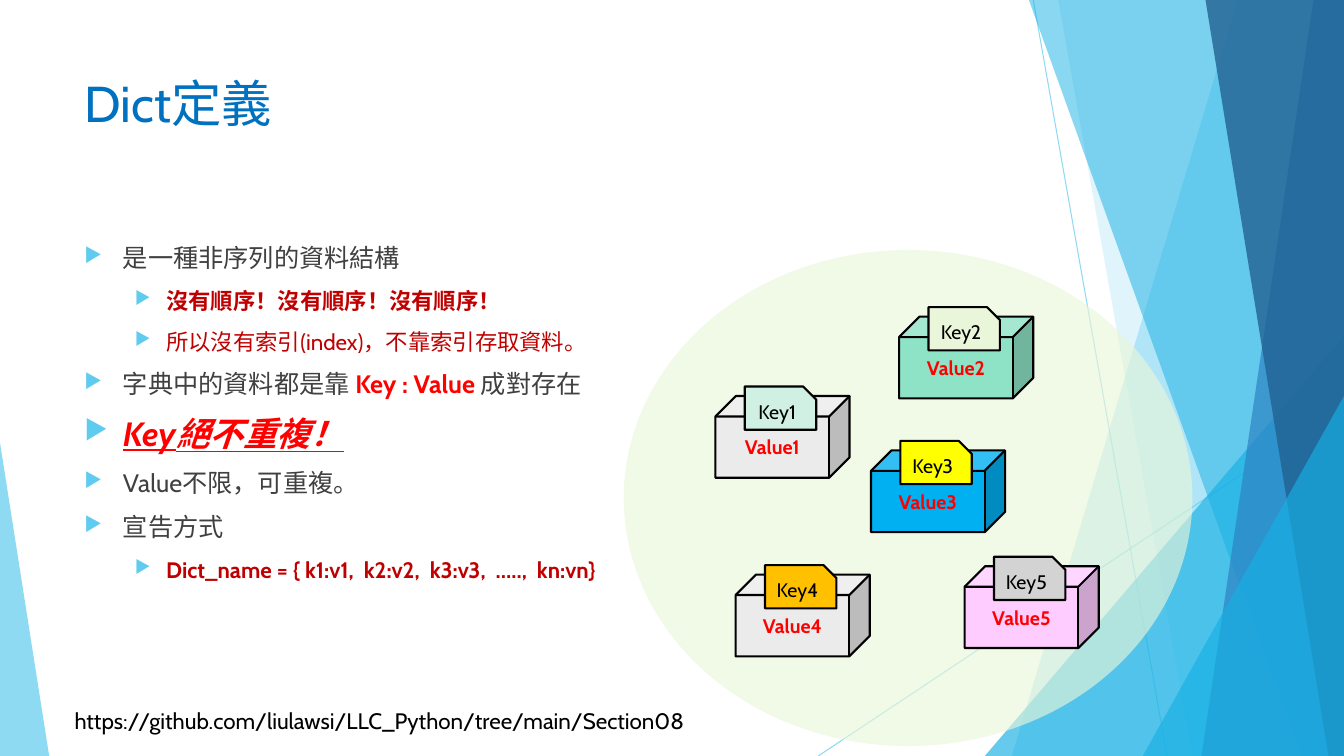
from lxml import etree
from pptx import Presentation
from pptx import util as u
from pptx.dml.color import RGBColor
from pptx.enum import shapes as s, text as t
from pptx.oxml import ns

Cm = u.Cm
WIDTH, HEIGHT = 33.87, 19.05
FACE = "Cabin"
SKY, CYAN, RED, CRIMSON, GREY = "5FCBEF", "17B0E4", "FF0000", "C00000", "404040"

# Strips reach the right edge: (top left x, bottom left x, colour, opacity)
BACK_STRIPS = [(31.19, 25.5, SKY, 36), (26.67, 30.05, SKY, 20)]
FRONT_STRIPS = [(25.93, 32.79, CYAN, 50), (33.1, 30.28, "2E83C3", 70),
                (30.38, 33.48, "226292", 80)]

# (level, size, [(words, colour, bold)])
POINTS = [
    (0, 18, [("是一種非序列的資料結構", GREY, False)]),
    (1, 16, [("沒有順序！沒有順序！沒有順序！", CRIMSON, True)]),
    (1, 16, [("所以沒有索引(index)，不靠索引存取資料。", CRIMSON, False)]),
    (0, 18, [("字典中的資料都是靠 ", GREY, False), ("Key : Value ", RED, True),
             ("成對存在", GREY, False)]),
    (0, 24, [("Key絕不重複！", RED, True)]),
    (0, 18, [("Value不限，可重複。", GREY, False)]),
    (0, 18, [("宣告方式", GREY, False)]),
    (1, 16, [("Dict_name = { k1:v1,  k2:v2,  k3:v3,  …..,  kn:vn}", CRIMSON, True)]),
]
INDENTS = [(0.97, 0.97), (2.06, 0.79)]

# (number, left, top, box colour, label colour)
PAIRS = [
    (4, 18.54, 14.48, "EBEBEB", "FFC000"),
    (3, 21.95, 11.35, "00B0F0", "FFFF00"),
    (1, 18.03, 9.98, "EBEBEB", "CFF0E3"),
    (2, 22.66, 7.98, "8EE3C7", "EAF6D9"),
    (5, 24.31, 14.27, "FFCCFF", "D3D3D3"),
]


def rgb(hex_code):
    return RGBColor.from_string(hex_code)


def add_child(parent, tag, **attributes):
    return etree.SubElement(parent, ns.qn(tag), attributes)


def set_opacity(element, percent):
    colour = next(element.iter(ns.qn("a:srgbClr")))
    add_child(colour, "a:alpha", val=str(percent * 1000))


def paint(shape, colour, opacity=100, outline=None):
    shape.shadow.inherit = False
    shape.fill.solid()
    shape.fill.fore_color.rgb = rgb(colour)
    if opacity < 100:
        set_opacity(shape.fill._xPr.find(ns.qn("a:solidFill")), opacity)
    if outline:
        shape.line.color.rgb = rgb(outline)
        shape.line.width = u.Pt(1.5)
    else:
        shape.line.fill.background()


def style(font, size, colour, bold=False):
    font.name, font.size, font.bold = FACE, u.Pt(size), bold
    font.color.rgb = rgb(colour)


def add_hairline(slide, x1, y1, x2, y2):
    line = slide.shapes.add_connector(
        s.MSO_CONNECTOR.STRAIGHT, Cm(x1), Cm(y1), Cm(x2), Cm(y2))
    line.line.color.rgb = rgb(SKY)
    line.line.width = u.Pt(0.75)
    properties = line._element.spPr
    set_opacity(properties, 70)
    add_child(properties, "a:effectLst")


def add_strip(slide, top_x, bottom_x, colour, opacity):
    outline = slide.shapes.build_freeform(Cm(top_x), Cm(0))
    outline.add_line_segments(
        [(Cm(WIDTH), Cm(0)), (Cm(WIDTH), Cm(HEIGHT)), (Cm(bottom_x), Cm(HEIGHT))])
    paint(outline.convert_to_shape(), colour, opacity)


def add_wedge(slide, left, top, width, apex, colour, opacity):
    """Triangle standing on the bottom edge; apex 0 is left, 1 is right."""
    wedge = slide.shapes.add_shape(
        s.MSO_SHAPE.ISOSCELES_TRIANGLE, Cm(left), Cm(top), Cm(width), Cm(HEIGHT - top))
    wedge.adjustments[0] = apex
    paint(wedge, colour, opacity)


def add_backdrop(slide):
    add_hairline(slide, 26.04, 0, 29.41, HEIGHT)
    add_hairline(slide, WIDTH, 10.24, 20.62, HEIGHT)
    for strip in BACK_STRIPS:
        add_strip(slide, *strip)
    add_wedge(slide, 24.82, 8.46, 9.05, 1, CYAN, 66)
    for strip in FRONT_STRIPS:
        add_strip(slide, *strip)
    add_wedge(slide, 28.8, 9.98, 5.07, 1, CYAN, 66)
    add_wedge(slide, 0, 11.15, 1.24, 0, SKY, 70)


def set_title(slide, left, top, width, height):
    title = slide.shapes.title
    title.left, title.top, title.width, title.height = map(Cm, (left, top, width, height))
    frame = title.text_frame
    frame.text = "Dict定義"
    frame.vertical_anchor = t.MSO_ANCHOR.TOP
    frame.auto_size = t.MSO_AUTO_SIZE.NONE
    frame.paragraphs[0].alignment = t.PP_ALIGN.LEFT
    style(frame.paragraphs[0].font, 36, "0070C0")


def add_text_frame(slide, left, top, width, height):
    frame = slide.shapes.add_textbox(*map(Cm, (left, top, width, height))).text_frame
    frame.word_wrap = True
    return frame


def add_source_link(slide, left, top, width, height):
    link = add_text_frame(slide, left, top, width, height).paragraphs[0]
    link.text = "https://github.com/liulawsi/LLC_Python/tree/main/Section08"
    style(link.font, 16, "000000")


def add_bullet(paragraph, level):
    paragraph.level = level
    margin, hanging = INDENTS[level]
    properties = paragraph._p.get_or_add_pPr()
    properties.set("marL", str(Cm(margin)))
    properties.set("indent", str(-Cm(hanging)))
    add_child(add_child(properties, "a:buClr"), "a:srgbClr", val=SKY)
    add_child(properties, "a:buSzPct", val="80000")
    add_child(properties, "a:buChar", char="▶")


def add_points(slide, left, top, width, height):
    frame = add_text_frame(slide, left, top, width, height)
    for index, (level, size, pieces) in enumerate(POINTS):
        point = frame.add_paragraph() if index else frame.paragraphs[0]
        add_bullet(point, level)
        if index:
            point.space_before = u.Pt(10)
        if len(pieces) == 1:
            words, colour, bold = pieces[0]
            point.add_run().text = words
            style(point.font, size, colour, bold)
        else:
            for words, colour, bold in pieces:
                piece = point.add_run()
                piece.text = words
                style(piece.font, size, colour, bold)
        if size == 24:
            point.font.italic = point.font.underline = True


def add_labelled(slide, kind, box, fill, words, colour, bold=False):
    shape = slide.shapes.add_shape(kind, *map(Cm, box))
    paint(shape, fill, outline="000000")
    frame = shape.text_frame
    frame.text = words
    frame.vertical_anchor = t.MSO_ANCHOR.MIDDLE
    frame.paragraphs[0].alignment = t.PP_ALIGN.CENTER
    style(frame.paragraphs[0].font, 14, colour, bold)
    return shape


def add_pair(slide, number, left, top, box_fill, label_fill):
    add_labelled(slide, s.MSO_SHAPE.CUBE, (left, top, 3.38, 2.06),
                 box_fill, f"Value{number}", RED, True)
    key = add_labelled(slide, s.MSO_SHAPE.SNIP_1_RECTANGLE,
                       (left + 0.74, top - 0.24, 1.8, 1.09),
                       label_fill, f"Key{number}", "000000")
    key.adjustments[0] = 0.3


def add_dictionary(slide, left, top, width, height):
    pool = slide.shapes.add_shape(s.MSO_SHAPE.OVAL, *map(Cm, (left, top, width, height)))
    paint(pool, "EAF6D9", 63)
    for number, x, y, box_fill, label_fill in PAIRS:
        add_pair(slide, number, x, y, box_fill, label_fill)


def main():
    deck = Presentation()
    deck.slide_width, deck.slide_height = Cm(WIDTH), Cm(HEIGHT)
    slide = deck.slides.add_slide(deck.slide_layouts[5])
    add_backdrop(slide)
    add_source_link(slide, 1.63, 17.7, 19.15, 0.94)
    set_title(slide, 1.88, 1.7, 23.88, 3.66)
    add_points(slide, 1.88, 5.99, 23.88, 10.77)
    add_dictionary(slide, 15.72, 6.3, 14.33, 12.5)
    deck.save("out.pptx")


if __name__ == "__main__":
    main()
